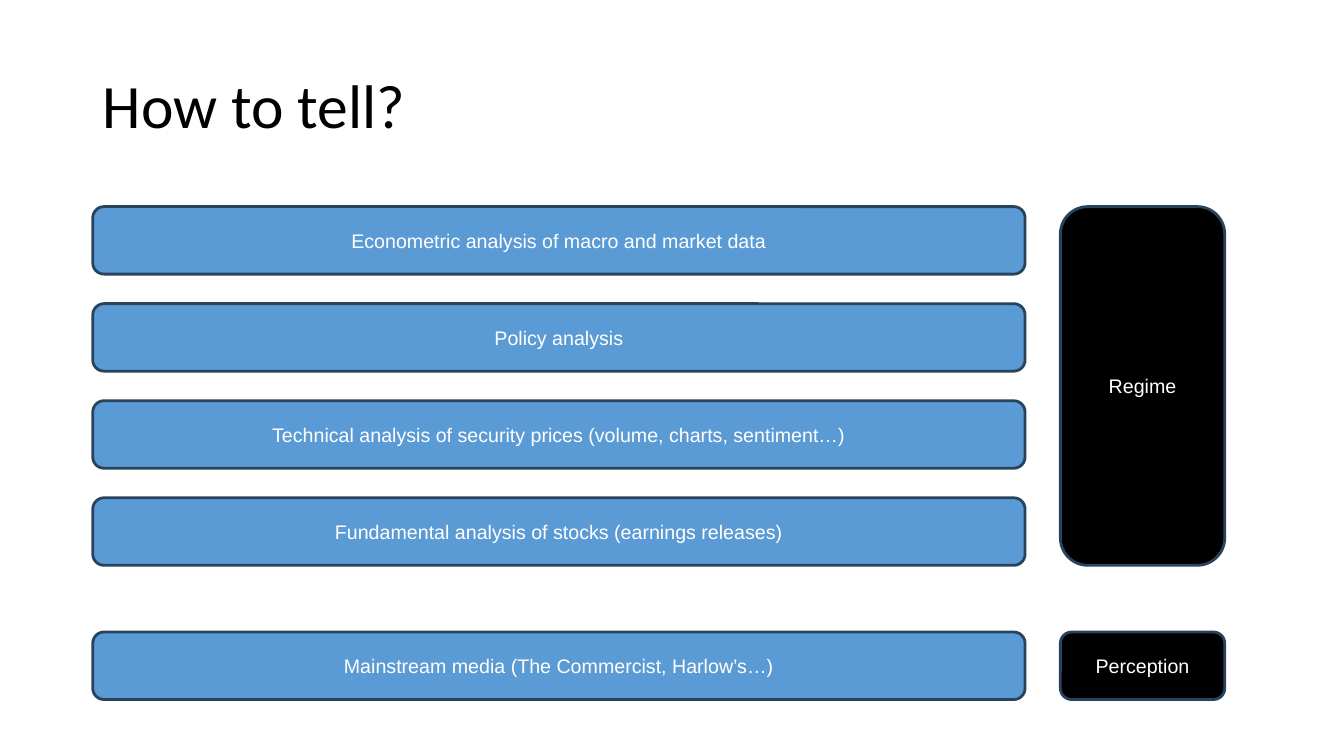
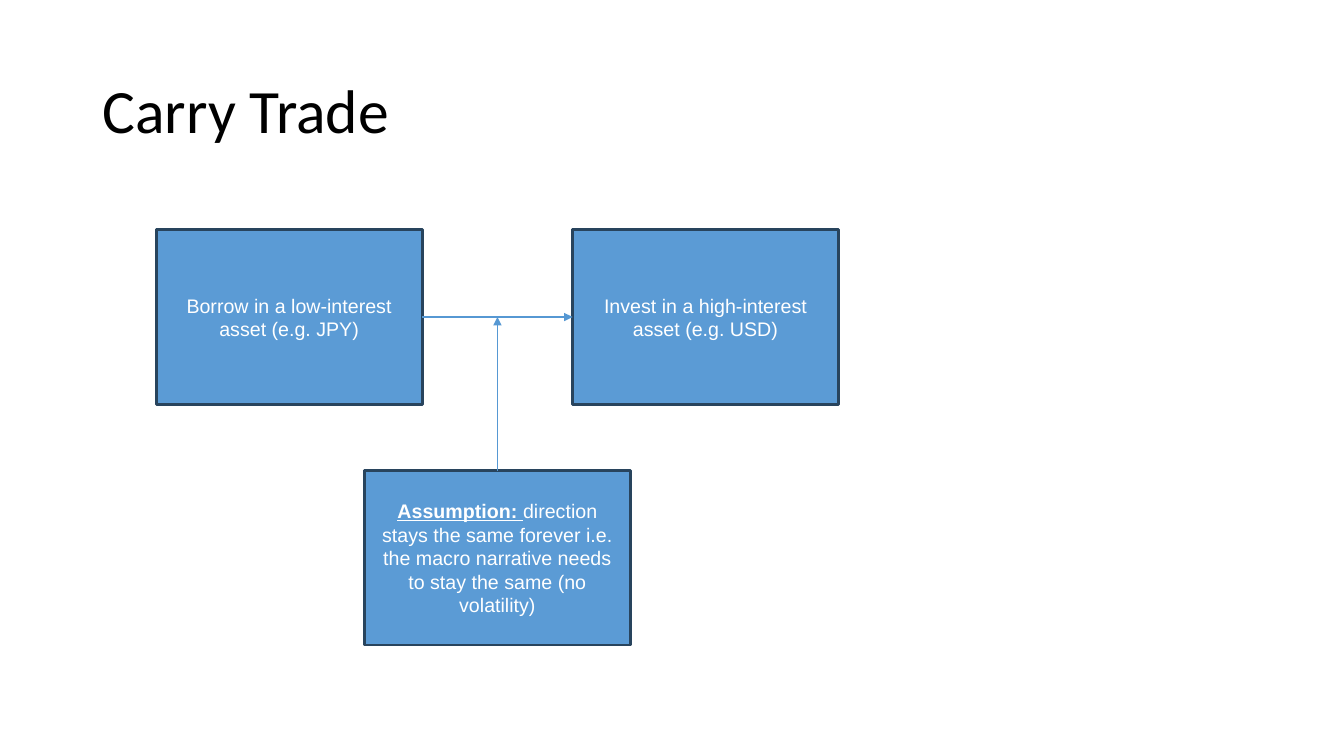
import lxml.etree
import pptx
import pptx.dml.color
import pptx.enum.shapes
import pptx.enum.text
import pptx.oxml.ns
import pptx.util

WIDE, HIGH = pptx.util.Inches(13.333), pptx.util.Inches(7.5)
BLUE, BLACK, WHITE, EDGE, WIRE = "5B9BD5", "000000", "FFFFFF", "28445D", "5698D3"
HEAD = {"size": pptx.util.Pt(44), "name": "Calibri"}
BODY = {"size": pptx.util.Pt(14), "name": "Arial"}
STRONG = {"bold": True, "underline": True}
KIND = pptx.enum.shapes.MSO_SHAPE
ALIGN = pptx.enum.text.PP_ALIGN


def tint(code):
    """Turn a hex string into a colour."""
    return pptx.dml.color.RGBColor.from_string(code)


def place(x, y, w, h):
    """Turn columns and rows of a 100 by 100 grid into slide lengths."""
    return [round(n * side / 100) for n, side in zip((x, y, w, h), (WIDE, HIGH) * 2)]


def apply(item, *styles):
    """Set every attribute named in the given styles."""
    for style in styles:
        for key, value in style.items():
            setattr(item, key, value)


def write(shape, parts, look, code, align):
    """Fill a shape with one paragraph of (text, style) runs."""
    frame = shape.text_frame
    apply(frame, {"word_wrap": True,
                  "vertical_anchor": pptx.enum.text.MSO_ANCHOR.MIDDLE})
    line = frame.paragraphs[0]
    line.alignment = align
    for text, style in parts:
        run = line.add_run()
        run.text = text
        apply(run.font, look, style)
        run.font.color.rgb = tint(code)
    return line


def title(slide, text, top):
    """Add the slide title at the given row."""
    box = slide.shapes.add_textbox(*place(6.9, top, 86.25, 19.33))
    write(box, [(text, {})], HEAD, BLACK, ALIGN.LEFT).line_spacing = 0.9


def card(slide, kind, box, parts, fill=BLUE):
    """Add an outlined box with centred white text."""
    shape = slide.shapes.add_shape(kind, *place(*box))
    shape.shadow.inherit = False
    shape.fill.solid()
    shape.fill.fore_color.rgb = tint(fill)
    shape.line.color.rgb = tint(EDGE)
    shape.line.width = pptx.util.Pt(2)
    write(shape, parts, BODY, WHITE, ALIGN.CENTER)
    return shape


def arrow(slide, start, stop):
    """Add a thin arrow between two grid points."""
    ends = place(*start, *stop)
    link = slide.shapes.add_connector(pptx.enum.shapes.MSO_CONNECTOR.STRAIGHT, *ends)
    link.line.color.rgb = tint(WIRE)
    link.line.width = pptx.util.Pt(0.75)
    tag = pptx.oxml.ns.qn
    lxml.etree.SubElement(link.line._get_or_add_ln(), tag("a:tailEnd"), type="triangle")
    lxml.etree.SubElement(link._element.spPr, tag("a:effectLst"))
    return link


def signs(slide, box, steps, last, labels):
    """Stack the source bars on the left and their outcomes on the right."""
    x, y, w, h = box
    bar, pitch, side, gap = 8.93, 12.84, 12.23, 2.63
    main = w - side - gap
    foot = y + h - bar
    tops = [y + n * pitch for n in range(len(steps))]
    for text, top in zip(steps + [last], tops + [foot]):
        card(slide, KIND.ROUNDED_RECTANGLE, (x, top, main, bar), [(text, {})])
    tall = tops[-1] + bar - y
    for text, top, size in zip(labels, (y, foot), (tall, bar)):
        spot = (x + main + gap, top, side, size)
        card(slide, KIND.ROUNDED_RECTANGLE, spot, [(text, {})], BLACK)


def trade(slide, box, left, right, note):
    """Link two cards, with a note below pointing at the link."""
    x, y, w, h = box
    wide, tall = 19.8, 23.07
    mid, axis, foot = x + w / 2, y + tall / 2, y + h - tall
    spots = [(x, y), (x + w - wide, y), (mid - wide / 2, foot)]
    one, two, base = [card(slide, KIND.RECTANGLE, (*spot, wide, tall), parts)
                      for spot, parts in zip(spots, (left, right, note))]
    flow = arrow(slide, (x + wide, axis), (x + w - wide, axis))
    flow.begin_connect(one, 3)
    flow.end_connect(two, 1)
    arrow(slide, (mid, foot), (mid, axis)).begin_connect(base, 0)


def main():
    """Build and save both slides."""
    deck = pptx.Presentation()
    apply(deck, {"slide_width": WIDE, "slide_height": HIGH})
    tell, carry = [deck.slides.add_slide(deck.slide_layouts[6]) for _ in range(2)]
    title(tell, "How to tell?", 4.67)
    signs(tell, (6.9, 27.33, 84.23, 65.2), [
        "Econometric analysis of macro and market data",
        "Policy analysis",
        "Technical analysis of security prices (volume, charts, sentiment…)",
        "Fundamental analysis of stocks (earnings releases)",
    ], "Mainstream media (The Commercist, Harlow’s…)", ["Regime", "Perception"])
    title(carry, "Carry Trade", 5.33)
    trade(carry, (11.62, 30.4, 50.78, 54.93),
          [("Borrow in a low-interest asset (e.g. JPY)", {})],
          [("Invest in a high-interest asset (e.g. USD)", {})],
          [("Assumption: ", STRONG),
           ("direction stays the same forever i.e. the macro narrative needs "
            "to stay the same (no volatility)", {})])
    deck.save("out.pptx")


if __name__ == "__main__":
    main()
